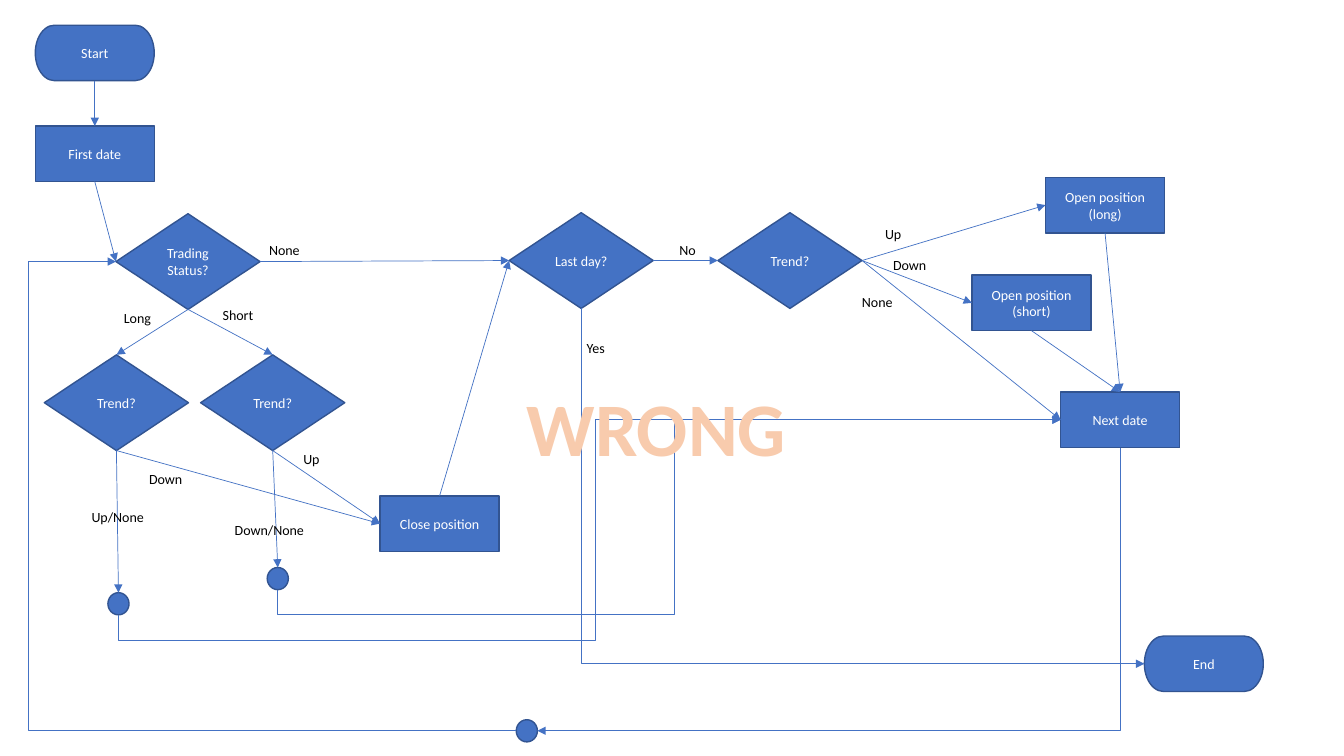
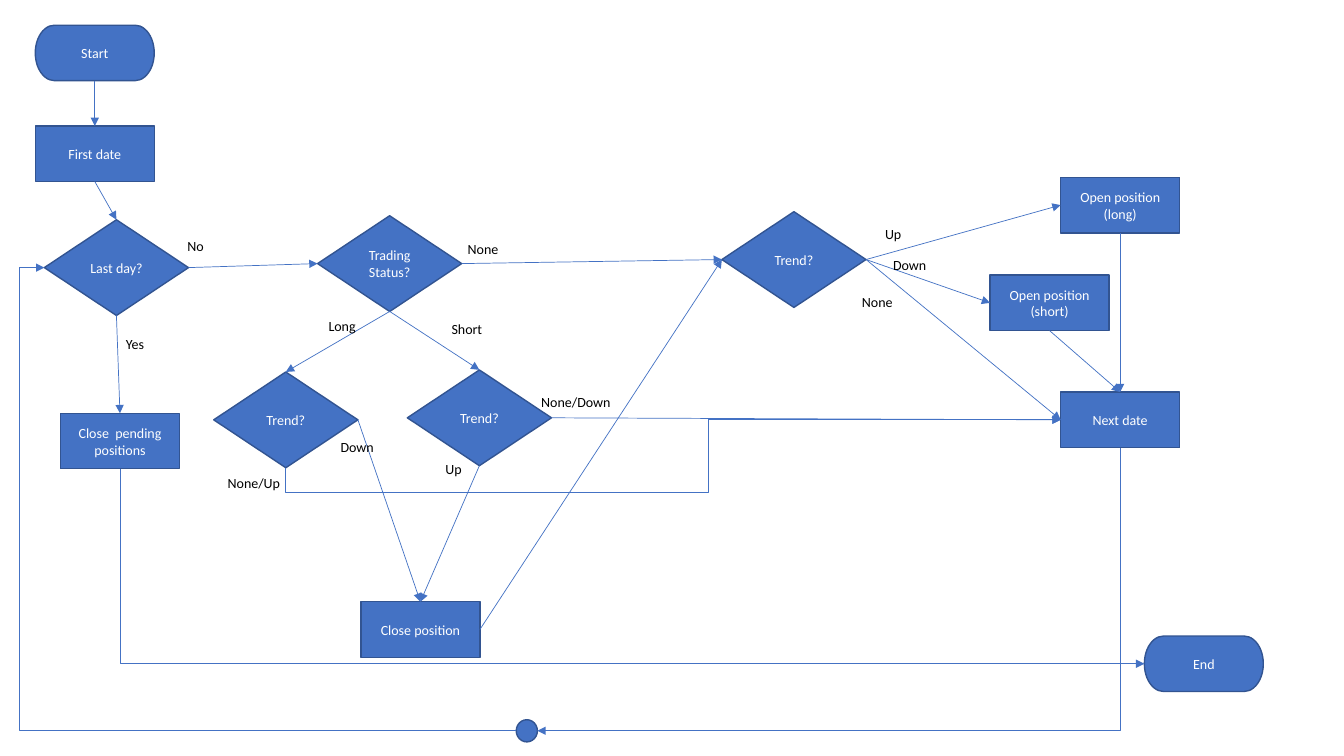
"""Build two flowcharts of a trading loop."""
from dataclasses import dataclass, field
from enum import Enum, IntEnum
from typing import NamedTuple, Optional

from lxml.etree import SubElement
from pptx import Presentation
from pptx.dml.color import RGBColor
from pptx.enum.shapes import MSO_CONNECTOR, MSO_SHAPE
from pptx.enum.text import MSO_ANCHOR, MSO_AUTO_SIZE, PP_ALIGN
from pptx.oxml import parse_xml
from pptx.oxml.ns import nsdecls, qn
from pptx.util import Inches, Pt


@dataclass(frozen=True)
class Theme:
    font: str = "Calibri"
    fill: str = "4472C4"
    border: str = "325491"
    stamp: str = "F8CBAD"
    stamp_edge: str = "ED7D31"
    light: str = "FFFFFF"
    dark: str = "000000"
    text_size: float = 10
    stamp_size: float = 54
    border_width: float = 1
    link_width: float = 0.5
    stamp_edge_width: float = 1.75
    label_height: float = 0.27
    drop: float = 0.25


class Kind(Enum):
    TERMINAL = (MSO_SHAPE.FLOWCHART_TERMINATOR, 1.18, 0.55)
    PROCESS = (MSO_SHAPE.FLOWCHART_PROCESS, 1.18, 0.55)
    DECISION = (MSO_SHAPE.FLOWCHART_DECISION, 1.43, 0.95)
    JOINT = (MSO_SHAPE.FLOWCHART_CONNECTOR, 0.21, 0.22)


class Side(IntEnum):
    TOP = 0
    LEFT = 1
    BOTTOM = 2
    RIGHT = 3


class Route(Enum):
    DOWN_LEFT = ("bentConnector2", 90, False, False)
    DOWN_RIGHT = ("bentConnector2", 270, True, False)
    LOOP_BACK = ("bentConnector3", 180, False, False)
    UNDER_UP = ("bentConnector4", 90, True, True)


class Node(NamedTuple):
    kind: Kind
    text: str
    x: float
    y: float


class Link(NamedTuple):
    start: str
    out: Side
    end: str
    into: Side
    route: Optional[Route] = None
    turn: float = 0


class Label(NamedTuple):
    text: str
    x: float
    y: float


@dataclass
class Chart:
    nodes: dict[str, Node]
    links: list[Link]
    labels: list[Label]
    stamp: list[Label] = field(default_factory=list)


THEME = Theme()
LABEL_WIDTHS = {"None": 0.51, "Up": 0.36, "Down": 0.54, "No": 0.37, "Yes": 0.39,
                "Short": 0.51, "Long": 0.48, "Up/None": 0.73, "None/Up": 0.73,
                "Down/None": 0.9, "None/Down": 0.9}
TOP, LEFT, BOTTOM, RIGHT = Side
TERMINAL, PROCESS, DECISION, JOINT = Kind

COMMON = Chart(
    nodes={
        "start": Node(TERMINAL, "Start", 0.35, 0.25),
        "first": Node(PROCESS, "First date", 0.35, 1.25),
        "next": Node(PROCESS, "Next date", 10.52, 3.89),
        "end": Node(TERMINAL, "End", 11.35, 6.31),
        "loop": Node(JOINT, "", 5.12, 7.14),
    },
    links=[
        Link("start", BOTTOM, "first", TOP),
        Link("next", BOTTOM, "loop", RIGHT, Route.DOWN_LEFT),
        Link("entry", RIGHT, "open_long", LEFT),
        Link("entry", RIGHT, "open_short", LEFT),
        Link("entry", RIGHT, "next", LEFT),
        Link("open_short", BOTTOM, "next", TOP),
        Link("open_long", BOTTOM, "next", TOP),
        Link("status", BOTTOM, "long", TOP),
        Link("status", BOTTOM, "short", TOP),
    ],
    labels=[Label("Up", 8.68, 2.19), Label("Down", 8.76, 2.5), Label("None", 8.45, 2.86)],
)

WRONG_FLOW = Chart(
    nodes={
        "status": Node(DECISION, "Trading Status?", 1.15, 2.12),
        "last": Node(DECISION, "Last day?", 5.05, 2.11),
        "entry": Node(DECISION, "Trend?", 7.12, 2.11),
        "long": Node(DECISION, "Trend?", 0.44, 3.52),
        "short": Node(DECISION, "Trend?", 1.99, 3.52),
        "close": Node(PROCESS, "Close position", 3.77, 4.92),
        "open_long": Node(PROCESS, "Open position (long)", 10.37, 1.76),
        "open_short": Node(PROCESS, "Open position (short)", 9.64, 2.73),
        "keep_long": Node(JOINT, "", 1.07, 5.88),
        "keep_short": Node(JOINT, "", 2.65, 5.63),
    },
    links=[
        Link("first", BOTTOM, "status", LEFT),
        Link("status", RIGHT, "last", LEFT),
        Link("last", RIGHT, "entry", LEFT),
        Link("last", BOTTOM, "end", LEFT, Route.DOWN_RIGHT),
        Link("loop", LEFT, "status", LEFT, Route.LOOP_BACK, 0.28),
        Link("long", BOTTOM, "keep_long", TOP),
        Link("keep_long", BOTTOM, "next", LEFT, Route.UNDER_UP, 5.9),
        Link("short", BOTTOM, "keep_short", TOP),
        Link("keep_short", BOTTOM, "next", LEFT, Route.UNDER_UP, 6.69),
        Link("short", BOTTOM, "close", LEFT),
        Link("long", BOTTOM, "close", LEFT),
        Link("close", TOP, "last", LEFT),
    ],
    labels=[
        Label("None", 2.57, 2.35), Label("No", 6.64, 2.35), Label("Yes", 5.72, 3.32),
        Label("Short", 2.11, 2.99), Label("Long", 1.13, 3.02), Label("Up/None", 0.81, 5),
        Label("Down/None", 2.23, 5.12), Label("Down", 1.38, 4.62), Label("Up", 2.91, 4.42),
    ],
    stamp=[Label("WRONG", 5.11, 3.73)],
)

RIGHT_FLOW = Chart(
    nodes={
        "last": Node(DECISION, "Last day?", 0.44, 2.18),
        "status": Node(DECISION, "Trading Status?", 3.15, 2.14),
        "entry": Node(DECISION, "Trend?", 7.16, 2.1),
        "long": Node(DECISION, "Trend?", 2.12, 3.69),
        "short": Node(DECISION, "Trend?", 4.04, 3.67),
        "close": Node(PROCESS, "Close position", 3.58, 5.97),
        "close_pending": Node(PROCESS, "Close  pending positions", 0.6, 4.1),
        "open_long": Node(PROCESS, "Open position (long)", 10.52, 1.76),
        "open_short": Node(PROCESS, "Open position (short)", 9.82, 2.73),
    },
    links=[
        Link("first", BOTTOM, "last", TOP),
        Link("last", RIGHT, "status", LEFT),
        Link("last", BOTTOM, "close_pending", TOP),
        Link("close_pending", BOTTOM, "end", LEFT, Route.DOWN_RIGHT),
        Link("status", RIGHT, "entry", LEFT),
        Link("loop", LEFT, "last", LEFT, Route.LOOP_BACK, 0.19),
        Link("short", RIGHT, "next", LEFT),
        Link("long", BOTTOM, "next", LEFT, Route.UNDER_UP, 7.03),
        Link("short", BOTTOM, "close", TOP),
        Link("long", RIGHT, "close", TOP),
        Link("close", RIGHT, "entry", LEFT),
    ],
    labels=[
        Label("None/Up", 2.16, 4.66), Label("No", 1.76, 2.31), Label("None", 4.54, 2.34),
        Label("Short", 4.38, 3.13), Label("Long", 3.16, 3.1), Label("Down", 3.28, 4.3),
        Label("Yes", 1.15, 3.28), Label("None/Down", 5.27, 3.85), Label("Up", 4.32, 4.52),
    ],
)


def write(tf, text: str, color: str, align, size: float = THEME.text_size, bold: bool = False):
    """Write one formatted run and return it."""
    p = tf.paragraphs[0]
    p.alignment = align
    r = p.add_run()
    r.text = text
    for name, value in {"name": THEME.font, "size": Pt(size), "bold": bold}.items():
        setattr(r.font, name, value)
    r.font.color.rgb = RGBColor.from_string(color)
    return r


def set_line(line, color: str, width: float) -> None:
    """Set the colour and width of a line."""
    line.color.rgb = RGBColor.from_string(color)
    line.width = Pt(width)


def draw_node(slide, node: Node):
    """Draw one flowchart step."""
    shape_type, w, h = node.kind.value
    sp = slide.shapes.add_shape(shape_type, *map(Inches, (node.x, node.y, w, h)))
    sp.shadow.inherit = False
    sp.fill.solid()
    sp.fill.fore_color.rgb = RGBColor.from_string(THEME.fill)
    set_line(sp.line, THEME.border, THEME.border_width)
    if node.text:
        sp.text_frame.vertical_anchor = MSO_ANCHOR.MIDDLE
        write(sp.text_frame, node.text, THEME.light, PP_ALIGN.CENTER)
    return sp


def bend(cxn, link: Link) -> None:
    """Turn and adjust an elbow connector to follow its route."""
    preset, angle, flip_h, flip_v = link.route.value
    x, y, w, h = cxn.left, cxn.top, cxn.width, cxn.height
    reach = abs(Inches(link.turn) - cxn.begin_x) / w
    adjustments = {
        Route.LOOP_BACK: [reach],
        Route.UNDER_UP: [-Inches(THEME.drop) / h, reach],
    }.get(link.route, [])
    if angle % 180:
        x, y, w, h = x + (w - h) // 2, y + (h - w) // 2, h, w
    for name, value in {"left": x, "top": y, "width": w, "height": h}.items():
        setattr(cxn, name, value)
    xfrm = cxn.element.spPr.find(qn("a:xfrm"))
    for name, value in {"rot": angle * 60000, "flipH": int(flip_h), "flipV": int(flip_v)}.items():
        xfrm.set(name, str(value))
    geom = cxn.element.spPr.find(qn("a:prstGeom"))
    geom.set("prst", preset)
    guides = geom.find(qn("a:avLst"))
    for i, value in enumerate(adjustments, 1):
        SubElement(guides, qn("a:gd"), name=f"adj{i}", fmla=f"val {round(value * 100000)}")


def draw_link(slide, link: Link, nodes: dict[str, Node], shapes: dict) -> None:
    """Draw an arrow glued to two steps."""
    kind = MSO_CONNECTOR.ELBOW if link.route else MSO_CONNECTOR.STRAIGHT
    cxn = slide.shapes.add_connector(kind, 0, 0, 0, 0)
    cxn.begin_connect(shapes[link.start], link.out)
    cxn.end_connect(shapes[link.end], link.into)
    for tag, key, side in (("stCxn", link.start, link.out), ("endCxn", link.end, link.into)):
        step = 2 if nodes[key].kind is JOINT else 1
        next(cxn.element.iter(qn(f"a:{tag}"))).set("idx", str(int(side) * step))
    if link.route:
        bend(cxn, link)
    set_line(cxn.line, THEME.fill, THEME.link_width)
    SubElement(cxn.element.spPr.find(qn("a:ln")), qn("a:tailEnd"), type="triangle")
    SubElement(cxn.element.spPr, qn("a:effectLst"))


def add_text(slide, label: Label, w: float, h: float):
    """Add an unwrapped text box and return its text frame."""
    tf = slide.shapes.add_textbox(*map(Inches, (label.x, label.y, w, h))).text_frame
    for name, value in {"word_wrap": False, "auto_size": MSO_AUTO_SIZE.SHAPE_TO_FIT_TEXT}.items():
        setattr(tf, name, value)
    return tf


def draw_label(slide, label: Label) -> None:
    """Draw the caption of an arrow."""
    tf = add_text(slide, label, LABEL_WIDTHS[label.text], THEME.label_height)
    write(tf, label.text, THEME.dark, PP_ALIGN.LEFT)


def draw_stamp(slide, label: Label) -> None:
    """Draw a large outlined verdict."""
    tf = add_text(slide, label, 2.8, 1.01)
    r = write(tf, label.text, THEME.stamp, PP_ALIGN.CENTER, THEME.stamp_size, True)
    r.font.fill.solid()
    r.font.fill.fore_color.rgb = RGBColor.from_string(THEME.stamp)
    r.font._element.insert(0, parse_xml(
        f'<a:ln {nsdecls("a")} w="{Pt(THEME.stamp_edge_width)}"><a:solidFill>'
        f'<a:srgbClr val="{THEME.stamp_edge}"/></a:solidFill></a:ln>'))


def draw_chart(prs, chart: Chart) -> None:
    """Add a slide with the common and the specific parts."""
    slide = prs.slides.add_slide(prs.slide_layouts[6])
    nodes = COMMON.nodes | chart.nodes
    shapes = {key: draw_node(slide, node) for key, node in nodes.items()}
    for link in COMMON.links + chart.links:
        draw_link(slide, link, nodes, shapes)
    for label in COMMON.labels + chart.labels:
        draw_label(slide, label)
    for label in chart.stamp:
        draw_stamp(slide, label)


def main() -> None:
    """Build and save the presentation."""
    prs = Presentation()
    prs.slide_width, prs.slide_height = Inches(13.33), Inches(7.5)
    for chart in (WRONG_FLOW, RIGHT_FLOW):
        draw_chart(prs, chart)
    prs.save("out.pptx")


main()
